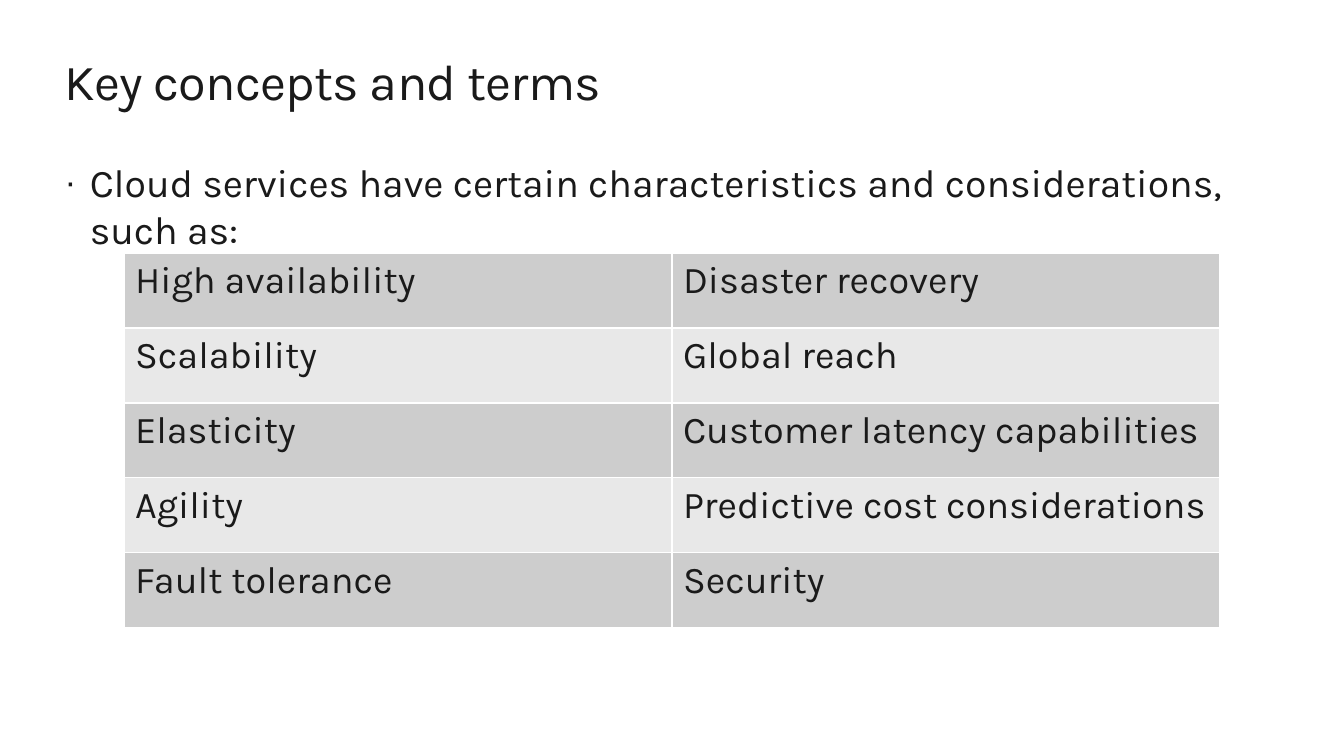
from lxml import etree
from pptx import Presentation
from pptx.dml.color import RGBColor
from pptx.enum.text import MSO_ANCHOR, MSO_AUTO_SIZE, PP_ALIGN
from pptx.oxml.ns import qn
from pptx.util import Inches, Pt

TOP = MSO_ANCHOR.TOP
GROW = MSO_AUTO_SIZE.SHAPE_TO_FIT_TEXT
LEFT = PP_ALIGN.LEFT

FONT = "Karla"
INK = "1A1A1A"
BORDER = "FFFFFF"
BANDS = ("CDCDCD", "E8E8E8")
MARGIN = 0.64
TEXT_WIDTH = 12.05
TABLE_LEFT, TABLE_TOP = 1.23, 2.51
COLUMN_WIDTH, ROW_HEIGHT = 5.435, 0.744
CHARACTERISTICS = (
    ("High availability", "Disaster recovery"),
    ("Scalability", "Global reach"),
    ("Elasticity", "Customer latency capabilities"),
    ("Agility", "Predictive cost considerations"),
    ("Fault tolerance", "Security"),
)


def color(value):
    return RGBColor.from_string(value)


def add_run(paragraph, text, size):
    run = paragraph.add_run()
    run.text = text
    run.font.name = FONT
    run.font.size = Pt(size)
    run.font.color.rgb = color(INK)
    return run


def place_text(placeholder, top, height):
    placeholder.left, placeholder.top = Inches(MARGIN), Inches(top)
    placeholder.width, placeholder.height = Inches(TEXT_WIDTH), Inches(height)
    frame = placeholder.text_frame
    frame.margin_left = frame.margin_top = frame.margin_right = frame.margin_bottom = 0
    frame.vertical_anchor = TOP
    frame.word_wrap = True
    frame.auto_size = GROW
    paragraph = frame.paragraphs[0]
    paragraph.alignment = LEFT
    paragraph.space_before = Pt(0)
    return paragraph


def set_bullet(paragraph, character, indent, percent):
    properties = paragraph._p.get_or_add_pPr()
    properties.set("marL", str(Inches(indent)))
    properties.set("indent", str(-Inches(indent)))
    etree.SubElement(properties, qn("a:buSzPct"), val=str(percent * 1000))
    etree.SubElement(properties, qn("a:buChar"), char=character)


def set_borders(cell):
    properties = cell._tc.get_or_add_tcPr()
    for position, side in enumerate(("a:lnL", "a:lnR", "a:lnT", "a:lnB")):
        line = etree.Element(qn(side), w=str(Pt(1)))
        fill = etree.SubElement(line, qn("a:solidFill"))
        etree.SubElement(fill, qn("a:srgbClr"), val=BORDER)
        properties.insert(position, line)


def fill_cell(cell, text, background):
    cell.fill.solid()
    cell.fill.fore_color.rgb = color(background)
    cell.margin_left = cell.margin_right = Inches(0.11)
    cell.margin_top = cell.margin_bottom = Inches(0.06)
    cell.vertical_anchor = TOP
    add_run(cell.text_frame.paragraphs[0], text, 27)
    set_borders(cell)


def add_characteristics_table(slide):
    row_count, column_count = len(CHARACTERISTICS), len(CHARACTERISTICS[0])
    table = slide.shapes.add_table(
        row_count, column_count, Inches(TABLE_LEFT), Inches(TABLE_TOP),
        Inches(COLUMN_WIDTH * column_count), Inches(ROW_HEIGHT * row_count),
    ).table
    table.first_row = False
    table.horz_banding = False
    for row, texts in enumerate(CHARACTERISTICS):
        for column, text in enumerate(texts):
            fill_cell(table.cell(row, column), text, BANDS[row % 2])


def main():
    presentation = Presentation()
    presentation.slide_width = Inches(13.33)
    presentation.slide_height = Inches(7.5)
    slide = presentation.slides.add_slide(presentation.slide_layouts[1])

    heading = place_text(slide.shapes.title, 0.5, 0.61)
    heading_run = add_run(heading, "Key concepts and terms", 36)
    heading_run.font._element.set("spc", "-50")

    introduction = place_text(slide.placeholders[1], 1.57, 0.47)
    set_bullet(introduction, "·", 0.25, 90)
    add_run(
        introduction,
        "Cloud services have certain characteristics and considerations, such as:",
        28,
    )
    add_characteristics_table(slide)
    presentation.save("out.pptx")


if __name__ == "__main__":
    main()
